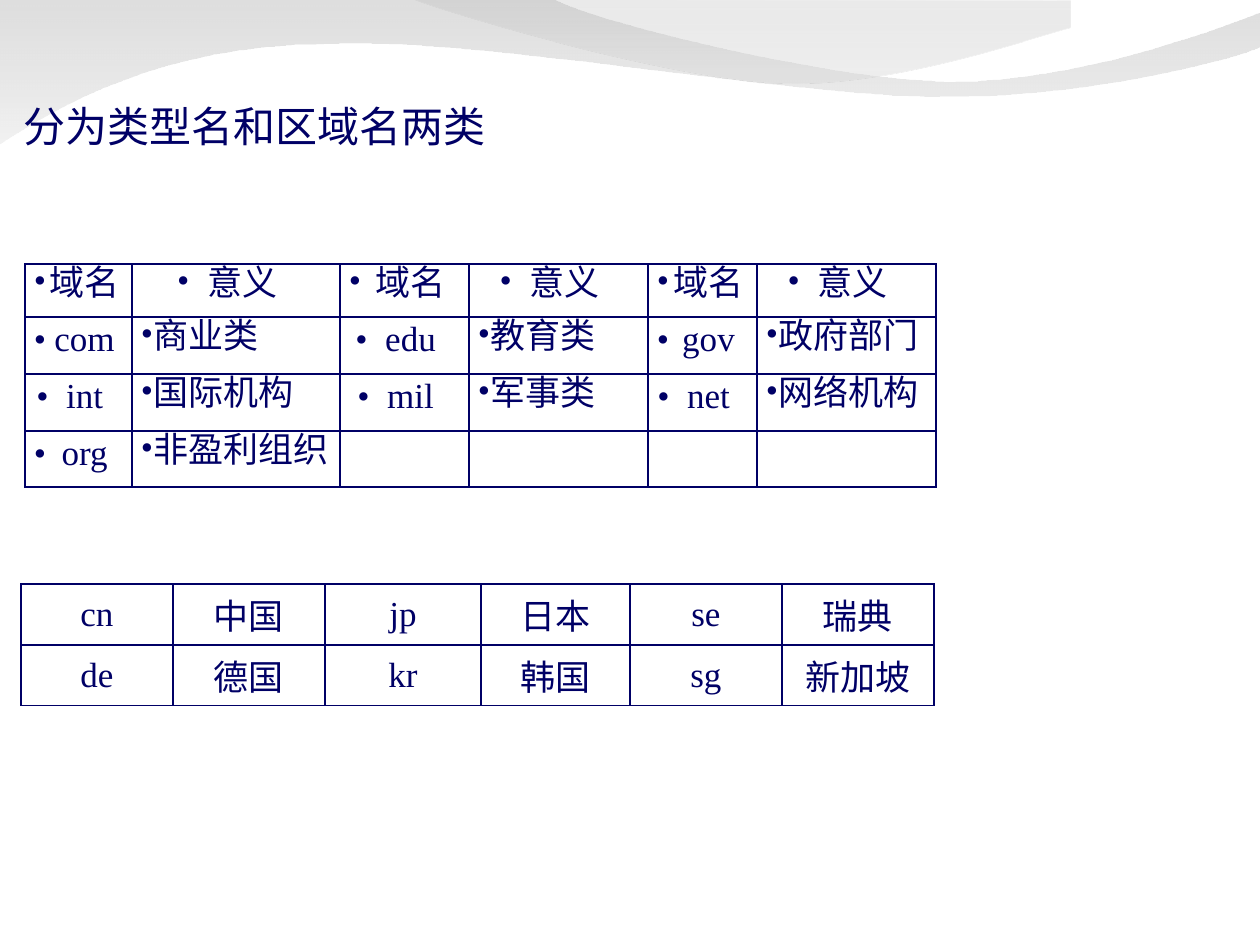
import lxml.etree
import pptx
import pptx.dml.color
import pptx.enum.text
import pptx.oxml.ns
import pptx.util

PX = 914400 / 126
NAVY = pptx.dml.color.RGBColor(0x00, 0x00, 0x66)
WHITE = pptx.dml.color.RGBColor(0xFF, 0xFF, 0xFF)
GREY_MID = pptx.dml.color.RGBColor(0xB7, 0xB7, 0xB7)
GREY_PALE = pptx.dml.color.RGBColor(0xE7, 0xE7, 0xE7)
GREY_SOFT = pptx.dml.color.RGBColor(0xBD, 0xBD, 0xBD)
GREY_LIGHT = pptx.dml.color.RGBColor(0xDB, 0xDB, 0xDB)
FONT = "Times New Roman"
CENTER = pptx.enum.text.PP_ALIGN.CENTER
JUSTIFY = pptx.enum.text.PP_ALIGN.JUSTIFY

TYPE_NAMES = [
    ["域名", "意义", "域名", "意义", "域名", "意义"],
    ["com", "商业类", "edu", "教育类", "gov", "政府部门"],
    ["int", "国际机构", "mil", "军事类", "net", "网络机构"],
    ["org", "非盈利组织", "", "", "", ""],
]
REGION_NAMES = [
    ["cn", "中国", "jp", "日本", "se", "瑞典"],
    ["de", "德国", "kr", "韩国", "sg", "新加坡"],
]


def emu(px):
    return pptx.util.Emu(round(px * PX))


def add_element(parent, tag, **attributes):
    return lxml.etree.SubElement(parent, pptx.oxml.ns.qn(tag), **attributes)


def style_para(para, size):
    para.font.size = pptx.util.Pt(size)
    para.font.name = FONT
    para.font.color.rgb = NAVY


def bend_lines(outline, segments):
    lines = iter(outline.findall(pptx.oxml.ns.qn("a:lnTo")))
    for segment in segments:
        group = [next(lines) for point in segment]
        if len(group) == 3:
            curve = add_element(outline, "a:cubicBezTo")
            group[0].addprevious(curve)
            for line in group:
                curve.append(line[0])
                outline.remove(line)


def add_wave(page, left, top, start, segments, stops):
    points = [start, *(point for segment in segments for point in segment)]
    places = [(emu(left + x), emu(top + y)) for x, y in points]
    builder = page.shapes.build_freeform(*places[0], scale=1.0)
    builder.add_line_segments(places[1:], close=True)
    wave = builder.convert_to_shape()
    bend_lines(next(wave._element.iter(pptx.oxml.ns.qn("a:path"))), segments)
    wave.shadow.inherit = False
    wave.line.fill.background()
    wave.fill.gradient()
    wave.fill.gradient_angle = 270
    colors = wave._element.spPr.iter(pptx.oxml.ns.qn("a:gs"))
    for stop, node, (position, color, alpha) in zip(
            wave.fill.gradient_stops, colors, stops):
        stop.position = position
        stop.color.rgb = color
        add_element(node[0], "a:alpha", val=str(alpha * 1000))


def add_waves(page, left, top):
    add_wave(page, left, top, (0, 0), [
        [(554, 0)],
        [(599, 23), (835, 81), (955, 81)],
        [(1074, 81), (1206, 33), (1259, 13)],
        [(1260, 47)],
        [(1237, 57), (1095, 97), (939, 96)],
        [(782, 96), (481, 37), (324, 44)],
        [(163, 45), (58, 106), (-1, 144)],
    ], [(0, GREY_MID, 45), (1, GREY_PALE, 55)])
    add_wave(page, left + 415, top, (0, 0), [
        [(38, 15), (254, 79), (364, 83)],
        [(472, 88), (606, 41), (655, 28)],
        [(655, 1)],
    ], [(0, GREY_SOFT, 30), (0.8, GREY_LIGHT, 45)])


def add_heading(page, left, top, width, height):
    box = page.shapes.add_textbox(emu(left), emu(top), emu(width), emu(height))
    frame = box.text_frame
    frame.word_wrap = True
    frame.margin_left = frame.margin_right = emu(9)
    frame.margin_top = frame.margin_bottom = emu(4)
    para = frame.paragraphs[0]
    para.text = "分为类型名和区域名两类"
    style_para(para, 24)


def add_borders(cell):
    properties = cell._tc.get_or_add_tcPr()
    for position, side in enumerate(("a:lnL", "a:lnR", "a:lnT", "a:lnB")):
        line = add_element(properties, side, w=str(pptx.util.Pt(1)))
        fill = add_element(line, "a:solidFill")
        add_element(fill, "a:srgbClr", val=str(NAVY))
        properties.insert(position, line)


def add_grid(page, left, top, widths, heights, rows, fill_cell):
    frame = page.shapes.add_table(
        len(heights), len(widths), emu(left), emu(top),
        emu(sum(widths)), emu(sum(heights)))
    table = frame.table
    table.first_row = table.horz_banding = False
    for column, width in zip(table.columns, widths):
        column.width = emu(width)
    for row, height in zip(table.rows, heights):
        row.height = emu(height)
    for i, texts in enumerate(rows):
        for j, text in enumerate(texts):
            cell = table.cell(i, j)
            cell.margin_left = cell.margin_right = emu(9)
            fill_cell(cell, text, i, j)
            add_borders(cell)


def fill_type_cell(cell, text, i, j):
    cell.margin_top = cell.margin_bottom = 0
    cell.fill.solid()
    cell.fill.fore_color.rgb = WHITE
    if text:
        para = cell.text_frame.paragraphs[0]
        para.text = text
        para.alignment = JUSTIFY if i > 0 and j % 2 else CENTER
        properties = para._p.get_or_add_pPr()
        add_element(properties, "a:buFont", typeface=FONT)
        add_element(properties, "a:buChar", char="•")
        para.line_spacing = pptx.util.Pt(24)
        style_para(para, 20)


def fill_region_cell(cell, text, i, j):
    cell.margin_top = cell.margin_bottom = emu(5)
    cell.vertical_anchor = pptx.enum.text.MSO_ANCHOR.MIDDLE
    cell.fill.background()
    para = cell.text_frame.paragraphs[0]
    para.text = text
    para.alignment = CENTER
    style_para(para, 20)


def main():
    deck = pptx.Presentation()
    deck.slide_width, deck.slide_height = emu(1260), emu(945)
    page = deck.slides.add_slide(deck.slide_layouts[6])
    add_waves(page, 0, 0)
    add_grid(page, 21, 584, [152, 152, 156, 149, 152, 152], [58, 58],
             REGION_NAMES, fill_region_cell)
    add_grid(page, 25, 264, [107, 208, 129, 179, 109, 179], [53, 57, 57, 56],
             TYPE_NAMES, fill_type_cell)
    add_heading(page, 15, 96, 895, 59)
    deck.save("out.pptx")


if __name__ == "__main__":
    main()
